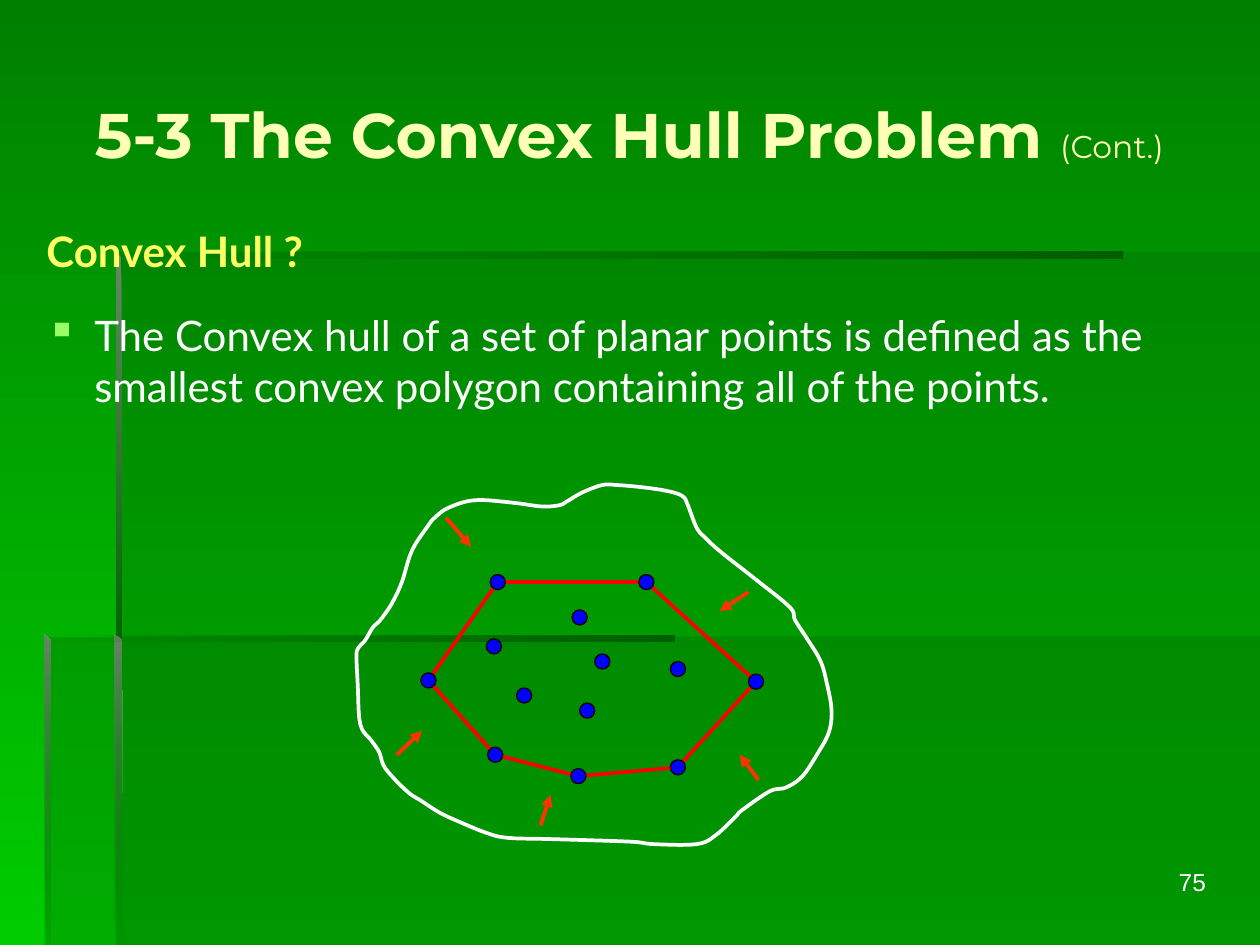
"""Build the convex hull slide: a point set, its hull and a shrinking outline."""
from dataclasses import dataclass

from pptx import Presentation, util as u
from pptx.dml.color import RGBColor
from pptx.enum import shapes, text
from pptx.oxml import parse_xml
from pptx.oxml.ns import nsdecls, qn


@dataclass(frozen=True)
class Theme:
    background: tuple = ("008000", "00CC00")
    panel: str = "006600"
    shade: str = "005E00"
    bevel: str = "668666"
    title: str = "FFFFB7"
    heading: str = "FFFF66"
    body: str = "FFFFFF"
    bullet: str = "99FF66"
    hull: str = "FF0000"
    dot: str = "0000FF"
    dot_line: str = "000000"
    arrow: str = "FF3300"
    title_font: str = "Montserrat"
    body_font: str = "Lato"
    number_font: str = "Arial"
    title_size: int = 36
    note_size: int = 18
    body_size: int = 24
    number_size: int = 14
    outline_width: float = 2.13
    arrow_width: float = 2.25


THEME = Theme()
WIDTH, HEIGHT = 10, 7.5
DOT_SIZE = 0.12
CURVE_STEPS = 5

TITLE = (("5-3 The Convex Hull Problem ", THEME.title_size, True),
         ("(Cont.)", THEME.note_size, False))
HEADING = "Convex Hull ?"
DEFINITION = ("The Convex hull of a set of planar points is defined as "
              "the smallest convex polygon containing all of the points.")
PAGE_NUMBER = "75"

PANELS = (
    ((0.92, 5.05), (0.92, HEIGHT), (WIDTH, HEIGHT), (WIDTH, 5.05)),
    ((0.94, 5.06), (0.36, 5.06), (0.36, HEIGHT), (WIDTH, HEIGHT), (WIDTH, 2), (0.94, 2)),
)
FADE_IN = ((THEME.panel, 0), (THEME.shade, 100))
BARS = (
    (((0.92, 2), (0.92, 2.05), (8.91, 2.05), (8.91, 2)), FADE_IN, 0),
    (((0.92, 2), (0.92, 5.1), (0.97, 5.1), (0.96, 2.04)),
     ((THEME.bevel, 100), (THEME.panel, 100)), 270),
    (((0.91, HEIGHT), (0.97, HEIGHT), (0.96, 5.08), (0.91, 5.04)),
     ((THEME.bevel, 100), (THEME.panel, 0)), 270),
    (((0.35, 5.04), (0.35, 5.09), (5.35, 5.09), (5.35, 5.04)), FADE_IN, 0),
    (((0.35, 5.04), (0.35, HEIGHT), (0.4, HEIGHT), (0.4, 5.09)),
     ((THEME.bevel, 100), (THEME.panel, 10)), 270),
)

HULL_POINTS = ((3.4, 5.4), (3.95, 4.62), (5.13, 4.62), (6, 5.41),
               (5.38, 6.09), (4.59, 6.16), (3.93, 5.99))
INNER_POINTS = ((3.92, 5.13), (4.6, 4.9), (4.78, 5.25), (4.16, 5.52),
                (4.66, 5.64), (5.38, 5.31))
OUTLINE = (
    (3.56, 4.03), (3.45, 4.11), (3.4, 4.17), (3.27, 4.37), (3.19, 4.62), (3.11, 4.79),
    (3.02, 4.92), (2.96, 4.98), (2.9, 5.08), (2.84, 5.15), (2.83, 5.22), (2.84, 5.44),
    (2.86, 5.75), (2.95, 5.88), (3.01, 5.97), (3.06, 6.1), (3.23, 6.28), (3.35, 6.36),
    (3.49, 6.45), (3.64, 6.52), (3.86, 6.61), (4.03, 6.65), (4.38, 6.66), (5, 6.68),
    (5.19, 6.7), (5.53, 6.7), (5.68, 6.63), (5.84, 6.48), (5.89, 6.43), (6.11, 6.28),
    (6.24, 6.25), (6.37, 6.16), (6.49, 5.98), (6.58, 5.81), (6.6, 5.63), (6.56, 5.41),
    (6.51, 5.24), (6.4, 5.06), (6.31, 4.92), (6.27, 4.82), (6, 4.6), (5.72, 4.38),
    (5.6, 4.27), (5.53, 4.19), (5.46, 4.01), (5.42, 3.94), (5.31, 3.9), (5.12, 3.87),
    (4.9, 3.85), (4.78, 3.85), (4.62, 3.91), (4.5, 3.98), (4.44, 4.01), (4.3, 4.02),
    (4.07, 3.99), (3.77, 3.97),
)
ARROWS = (((3.54, 4.11), (3.74, 4.34)), ((5.94, 4.7), (5.71, 4.85)),
          ((6.02, 6.19), (5.87, 5.99)), ((4.29, 6.55), (4.37, 6.31)),
          ((3.15, 5.99), (3.35, 5.8)))


def color(value):
    return RGBColor.from_string(value)


def smooth_closed(points):
    """Sample a closed Catmull-Rom curve through the points."""
    count = len(points)
    curve = []
    for index in range(count):
        neighbours = [points[(index + offset) % count] for offset in (-1, 0, 1, 2)]
        for step in range(CURVE_STEPS):
            t = step / CURVE_STEPS
            curve.append(tuple(
                b + t * (c - a + t * (2 * a - 5 * b + 4 * c - d
                                      + t * (3 * b - a - 3 * c + d))) / 2
                for a, b, c, d in zip(*neighbours)))
    return curve


def set_opacity(fill_element, values):
    for element, value in zip(fill_element.iter(qn("a:srgbClr")), values):
        element.append(parse_xml(f'<a:alpha {nsdecls("a")} val="{value * 1000}"/>'))


def set_gradient(fill, colors, angle):
    fill.gradient()
    fill.gradient_angle = angle
    for stop, value in zip(fill.gradient_stops, colors):
        stop.color.rgb = color(value)


def add_polygon(slide, points):
    start, *rest = [(u.Inches(x), u.Inches(y)) for x, y in points]
    builder = slide.shapes.build_freeform(*start)
    builder.add_line_segments(rest, close=True)
    shape = builder.convert_to_shape()
    shape.shadow.inherit = False
    shape.fill.background()
    shape.line.fill.background()
    return shape


def add_outline(slide, points, line_color):
    shape = add_polygon(slide, points)
    shape.line.color.rgb = color(line_color)
    shape.line.width = u.Pt(THEME.outline_width)


def add_backdrop(slide):
    set_gradient(slide.background.fill, THEME.background, 270)
    for points in PANELS:
        panel = add_polygon(slide, points)
        panel.fill.solid()
        panel.fill.fore_color.rgb = color(THEME.panel)
        set_opacity(panel.element.spPr, [30])
    for points, stops, angle in BARS:
        bar = add_polygon(slide, points)
        colors, opacities = zip(*stops)
        set_gradient(bar.fill, colors, angle)
        set_opacity(bar.element.spPr, opacities)


def add_dot(slide, x, y):
    corner = (u.Inches(x - DOT_SIZE / 2), u.Inches(y - DOT_SIZE / 2))
    dot = slide.shapes.add_shape(shapes.MSO_SHAPE.OVAL, *corner, *[u.Inches(DOT_SIZE)] * 2)
    dot.shadow.inherit = False
    dot.fill.solid()
    dot.fill.fore_color.rgb = color(THEME.dot)
    dot.line.color.rgb = color(THEME.dot_line)
    dot.line.width = u.Pt(0)


def add_arrow(slide, start, end):
    arrow = slide.shapes.add_connector(
        shapes.MSO_CONNECTOR.STRAIGHT, *[u.Inches(value) for value in start + end])
    arrow.line.color.rgb = color(THEME.arrow)
    arrow.line.width = u.Pt(THEME.arrow_width)
    arrow.line._get_or_add_ln().append(parse_xml(f'<a:tailEnd {nsdecls("a")} type="triangle"/>'))
    arrow.element.spPr.append(parse_xml(f'<a:effectLst {nsdecls("a")}/>'))


def set_font(font, name, font_color, size=None, bold=None):
    font.name, font.bold = name, bold
    font.color.rgb = color(font_color)
    font.size = u.Pt(size) if size else None


def add_text(slide, box, content):
    frame = slide.shapes.add_textbox(*[u.Inches(value) for value in box]).text_frame
    frame.word_wrap = True
    paragraph = frame.paragraphs[0]
    paragraph.text = content
    return paragraph


def add_bullet(paragraph):
    properties = paragraph._p.get_or_add_pPr()
    properties.set("marL", str(u.Inches(0.38)))
    properties.set("indent", str(-u.Inches(0.38)))
    for xml in (f'<a:buClr {nsdecls("a")}><a:srgbClr val="{THEME.bullet}"/></a:buClr>',
                f'<a:buChar {nsdecls("a")} char="▪"/>'):
        properties.append(parse_xml(xml))


def add_title(slide):
    title = slide.shapes.title
    title.element.getparent().append(title.element)
    title.left, title.top, title.width, title.height = map(u.Inches, (0.41, 0.27, 9.17, 1.57))
    frame = title.text_frame
    frame.auto_size = text.MSO_AUTO_SIZE.NONE
    frame.vertical_anchor = text.MSO_ANCHOR.MIDDLE
    paragraph = frame.paragraphs[0]
    paragraph.alignment = text.PP_ALIGN.CENTER
    for content, size, bold in TITLE:
        run = paragraph.add_run()
        run.text = content
        set_font(run.font, THEME.title_font, THEME.title, size, bold)


def main():
    presentation = Presentation()
    presentation.slide_width, presentation.slide_height = u.Inches(WIDTH), u.Inches(HEIGHT)
    slide = presentation.slides.add_slide(presentation.slide_layouts[5])
    add_backdrop(slide)
    number = add_text(slide, (7.59, 6.83, 2.08, 0.52), PAGE_NUMBER)
    number.alignment = text.PP_ALIGN.RIGHT
    set_font(number.font, THEME.number_font, THEME.body, THEME.number_size)
    add_outline(slide, HULL_POINTS, THEME.hull)
    add_title(slide)
    heading = add_text(slide, (0.27, 1.74, 6.42, 0.5), HEADING)
    set_font(heading.font, THEME.body_font, THEME.heading, THEME.body_size, True)
    definition = add_text(slide, (0.27, 2.41, 9.4, 0.63), DEFINITION)
    add_bullet(definition)
    set_font(definition.font, THEME.body_font, THEME.body, THEME.body_size)
    for point in HULL_POINTS + INNER_POINTS:
        add_dot(slide, *point)
    add_outline(slide, smooth_closed(OUTLINE), THEME.body)
    for start, end in ARROWS:
        add_arrow(slide, start, end)
    presentation.save("out.pptx")


if __name__ == "__main__":
    main()
